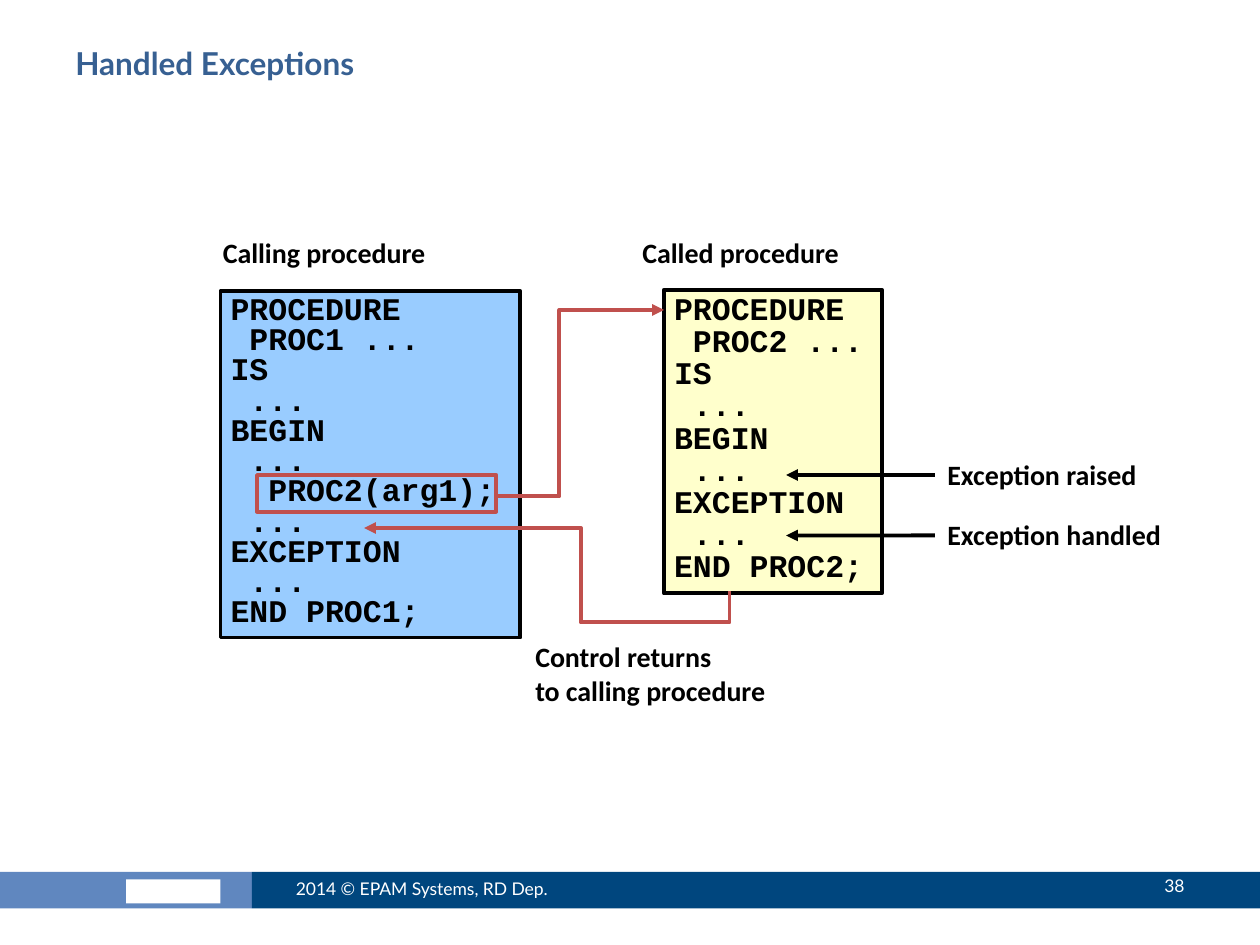
"""Build the slide that shows how a called procedure handles its exceptions."""
import pptx
import pptx.dml.color
import pptx.enum.shapes
import pptx.enum.text
import pptx.oxml
import pptx.oxml.ns
import pptx.util

Inches = pptx.util.Inches
Pt = pptx.util.Pt
ALIGN = pptx.enum.text.PP_ALIGN
ANCHOR = pptx.enum.text.MSO_ANCHOR

COLORS = {
    "title": "376092", "light band": "6087BF", "dark band": "00467E",
    "white": "FFFFFF", "black": "000000", "calling": "99CCFF",
    "called": "FFFFCC", "flow": "C0504D",
}
LINE_WIDTH = 2.25

BANDS = [
    ((0, 6.92, 2, 0.29), "light band"),
    ((2, 6.92, 8, 0.29), "dark band"),
    ((1, 6.98, 0.75, 0.19), "white"),
]
TITLE = ("Handled Exceptions", (0.5, 0.3, 9, 0.78))
FOOTERS = [
    ("2014 © EPAM Systems, RD Dep.", (2.25, 6.85, 2.67, 0.4), ALIGN.LEFT),
    ("38", (8.42, 6.83, 1.08, 0.4), ALIGN.RIGHT),
]
LABELS = [
    ("Calling procedure", (1.67, 1.84, 2.5, 0.35), 0.95),
    ("Called procedure", (5, 1.84, 2.33, 0.35), 0.95),
    ("Control returns\nto calling procedure", (4.15, 5.03, 2.6, 0.64), 1),
]
PROCEDURES = [
    ((1.75, 2.31, 2.38, 2.75), "calling", 0.8,
     ["PROCEDURE", " PROC1 ...", "IS", " ...", "BEGIN", " ...",
      "  PROC2(arg1);", " ...", "EXCEPTION", " ...", "END PROC1;"]),
    ((5.27, 2.3, 1.73, 2.41), "called", 0.85,
     ["PROCEDURE", " PROC2 ...", "IS", " ...", "BEGIN", " ...",
      "EXCEPTION", " ...", "END PROC2;"]),
]
CALL_FRAME = (2.04, 3.77, 1.9, 0.29)
FLOWS = [
    [(3.94, 3.94), (4.44, 3.94), (4.44, 2.46), (5.27, 2.46)],
    [(5.79, 4.69), (5.79, 4.94), (4.61, 4.94), (4.61, 4.19), (2.89, 4.19)],
]
EVENTS = [("Exception raised", 3.77), ("Exception handled", 4.25)]
EVENT_LEFT, EVENT_WIDTH, EVENT_HEIGHT, EVENT_TARGET = 7.42, 2.42, 0.38, 6.24


def color(name):
    return pptx.dml.color.RGBColor.from_string(COLORS[name])


def write(shape, lines, size, font, ink, bold=True, spacing=1,
          align=ALIGN.LEFT, anchor=ANCHOR.TOP, insets=(0.1, 0.05)):
    frame = shape.text_frame
    frame.word_wrap = True
    frame.vertical_anchor = anchor
    frame.margin_left = frame.margin_right = Inches(insets[0])
    frame.margin_top = frame.margin_bottom = Inches(insets[1])
    for index, line in enumerate(lines):
        para = frame.add_paragraph() if index else frame.paragraphs[0]
        para.text = line
        para.alignment = align
        para.line_spacing = spacing
        for span in para.runs:
            span.font.size = Pt(size)
            span.font.name = font
            span.font.bold = bold
            span.font.color.rgb = color(ink)


def add_text(slide, text, place, *style, **options):
    box = slide.shapes.add_textbox(*map(Inches, place))
    write(box, [text], *style, **options)
    return box


def set_line(shape, name):
    shape.line.color.rgb = color(name)
    shape.line.width = Pt(LINE_WIDTH)


def add_rectangle(slide, place, fill=None, outline=None):
    kind = pptx.enum.shapes.MSO_SHAPE.RECTANGLE
    box = slide.shapes.add_shape(kind, *map(Inches, place))
    box.shadow.inherit = False
    if fill:
        box.fill.solid()
        box.fill.fore_color.rgb = color(fill)
    else:
        box.fill.background()
    if outline:
        set_line(box, outline)
    else:
        box.line.fill.background()
    return box


def add_arrowhead(shape):
    line = shape.line._get_or_add_ln()
    tail = pptx.oxml.parse_xml(
        f'<a:tailEnd {pptx.oxml.ns.nsdecls("a")} type="triangle"/>')
    line.append(tail)


def add_flow(slide, points):
    start, *rest = [(Inches(x), Inches(y)) for x, y in points]
    builder = slide.shapes.build_freeform(*start)
    builder.add_line_segments(rest, close=False)
    flow = builder.convert_to_shape()
    flow.shadow.inherit = False
    flow.fill.background()
    set_line(flow, "flow")
    add_arrowhead(flow)


def add_event(slide, text, middle):
    place = (EVENT_LEFT, middle - EVENT_HEIGHT / 2, EVENT_WIDTH, EVENT_HEIGHT)
    label = add_text(slide, text, place, 16, "Calibri", "black")
    ends = map(Inches, (EVENT_LEFT, middle, EVENT_TARGET, middle))
    arrow = slide.shapes.add_connector(
        pptx.enum.shapes.MSO_CONNECTOR.STRAIGHT, *ends)
    arrow.begin_connect(label, 1)
    set_line(arrow, "black")
    add_arrowhead(arrow)
    effects = pptx.oxml.parse_xml(
        f'<a:effectLst {pptx.oxml.ns.nsdecls("a")}/>')
    arrow._element.spPr.append(effects)


def main():
    deck = pptx.Presentation()
    deck.slide_width, deck.slide_height = Inches(10), Inches(7.5)
    slide = deck.slides.add_slide(deck.slide_layouts[6])
    for place, fill in BANDS:
        add_rectangle(slide, place, fill)
    add_text(slide, *TITLE, 18, "Lato", "title")
    for text, place, align in FOOTERS:
        add_text(slide, text, place, 10, "Lato", "white", bold=False,
                 align=align, anchor=ANCHOR.MIDDLE)
    for place, fill, spacing, code in PROCEDURES:
        box = add_rectangle(slide, place, fill, "black")
        write(box, code, 18, "Courier New", "black", spacing=spacing,
              insets=(0.08, 0.04))
    for text, place, spacing in LABELS:
        add_text(slide, text, place, 16, "Calibri", "black", spacing=spacing)
    add_rectangle(slide, CALL_FRAME, outline="flow")
    for points in FLOWS:
        add_flow(slide, points)
    for text, middle in EVENTS:
        add_event(slide, text, middle)
    deck.save("out.pptx")


if __name__ == "__main__":
    main()
